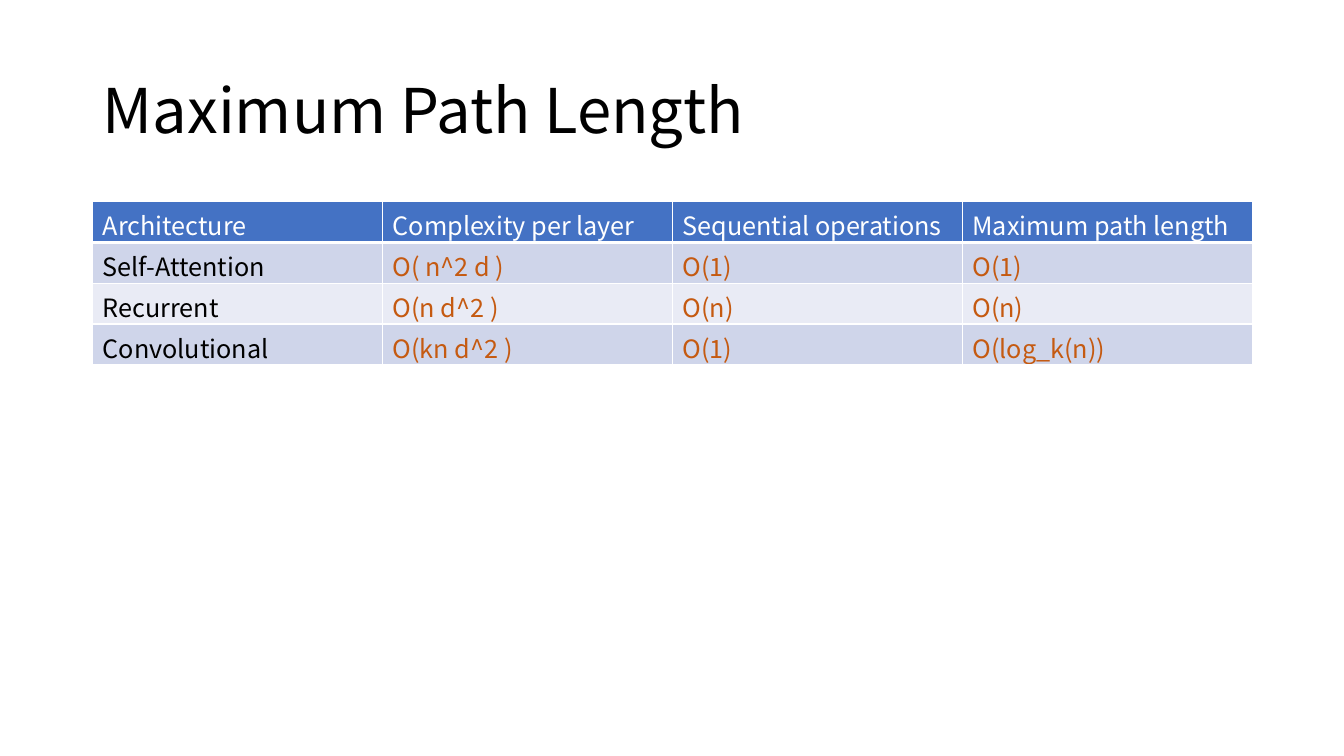
from lxml.etree import SubElement
from pptx import Presentation
from pptx.dml.color import RGBColor
from pptx.enum.text import MSO_ANCHOR
from pptx.oxml.ns import qn
from pptx.util import Inches, Pt

FONT = "Noto Sans CJK KR"
BLACK = RGBColor(0x00, 0x00, 0x00)
WHITE = RGBColor(0xFF, 0xFF, 0xFF)
HEADER_BLUE = RGBColor(0x44, 0x72, 0xC4)
BAND_DARK = RGBColor(0xCF, 0xD5, 0xEA)
BAND_LIGHT = RGBColor(0xE9, 0xEB, 0xF5)
FORMULA_ORANGE = RGBColor(0xC5, 0x5A, 0x11)

ROWS = [
    ["Architecture", "Complexity per layer", "Sequential operations", "Maximum path length"],
    ["Self-Attention", "O( n^2 d )", "O(1)", "O(1)"],
    ["Recurrent", "O(n d^2 )", "O(n)", "O(n)"],
    ["Convolutional", "O(kn d^2 )", "O(1)", "O(log_k(n))"],
]


def write_text(paragraph, text, size, color):
    run = paragraph.add_run()
    run.text = text
    for name, value in {"name": FONT, "size": Pt(size)}.items():
        setattr(run.font, name, value)
    run.font.color.rgb = color


def set_borders(cell, widths):
    """Draw white cell borders; widths maps each side to points."""
    properties = cell._tc.get_or_add_tcPr()
    for side, width in widths.items():
        line = SubElement(properties, qn(f"a:ln{side}"), w=str(Pt(width)))
        fill = SubElement(line, qn("a:solidFill"))
        SubElement(fill, qn("a:srgbClr"), val=str(WHITE))


def add_title(slide, left, top, width, height, text):
    box = slide.shapes.add_textbox(Inches(left), Inches(top), Inches(width), Inches(height))
    frame = box.text_frame
    for name, value in {"word_wrap": True, "vertical_anchor": MSO_ANCHOR.MIDDLE}.items():
        setattr(frame, name, value)
    frame.paragraphs[0].line_spacing = 0.9
    write_text(frame.paragraphs[0], text, 44, BLACK)


def add_comparison_table(slide, left, top, width, height, rows):
    table = slide.shapes.add_table(
        len(rows), len(rows[0]), Inches(left), Inches(top), Inches(width), Inches(height)
    ).table
    for row_index, row in enumerate(rows):
        for column_index, text in enumerate(row):
            cell = table.cell(row_index, column_index)
            # A thick rule separates the header from the body
            set_borders(cell, {
                "L": 1, "R": 1,
                "T": 3 if row_index == 1 else 1,
                "B": 3 if row_index == 0 else 1,
            })
            # Blue header, then alternating bands with coloured formulas
            if row_index == 0:
                fill, color = HEADER_BLUE, WHITE
            else:
                fill = BAND_DARK if row_index % 2 else BAND_LIGHT
                color = FORMULA_ORANGE if column_index else BLACK
            cell.fill.solid()
            cell.fill.fore_color.rgb = fill
            write_text(cell.text_frame.paragraphs[0], text, 18, color)


def main():
    presentation = Presentation()
    presentation.slide_width = Inches(13.33)
    presentation.slide_height = Inches(7.5)
    slide = presentation.slides.add_slide(presentation.slide_layouts[6])
    add_title(slide, 0.92, 0.4, 11.5, 1.45, "Maximum Path Length")
    add_comparison_table(slide, 0.92, 2, 11.5, 1.62, ROWS)
    presentation.save("out.pptx")


if __name__ == "__main__":
    main()
